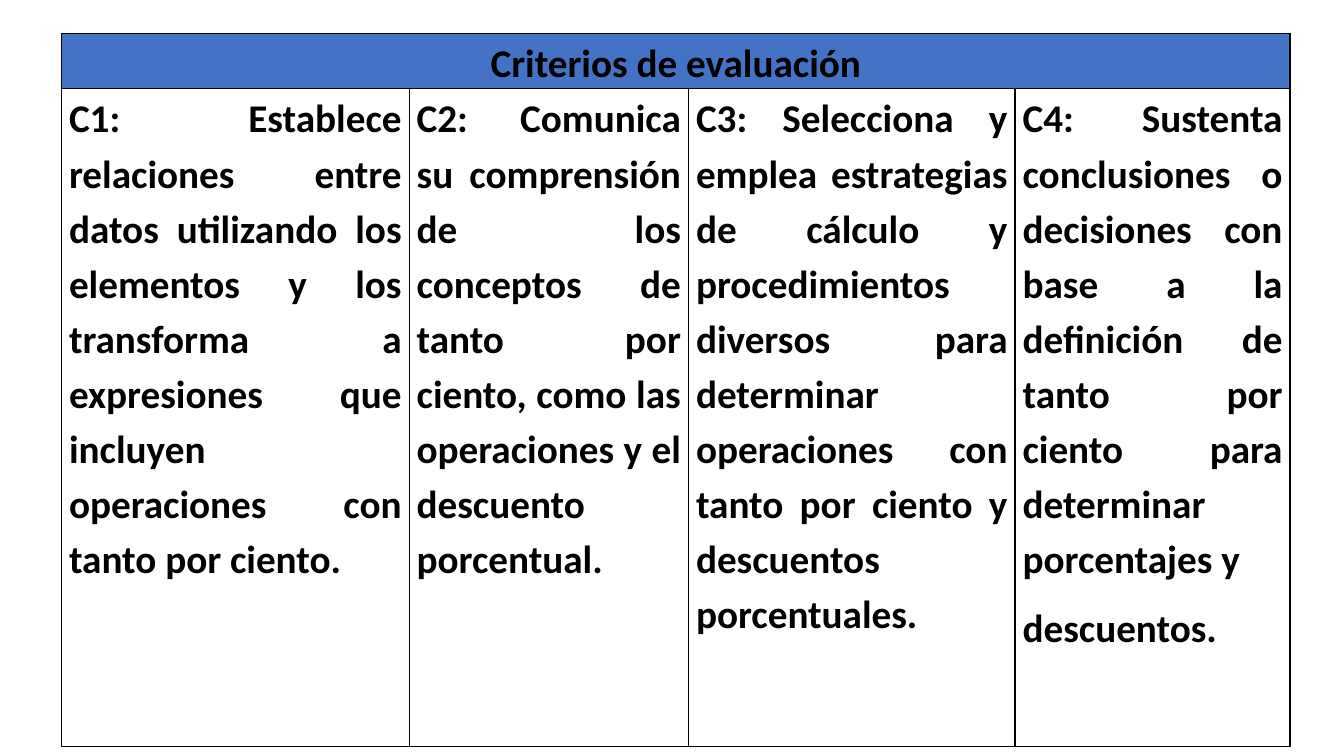
"""Build a slide with a table of assessment criteria."""
from dataclasses import dataclass

from lxml.etree import SubElement
from pptx import Presentation
from pptx.dml.color import RGBColor
from pptx.enum.text import MSO_ANCHOR, PP_ALIGN
from pptx.oxml.ns import qn
from pptx.table import _Cell
from pptx.util import Cm, Pt

HUES = {"ink": "000000", "head": "4472C4"}


@dataclass
class Column:
    """Hold the width in cm and the paragraphs of one criterion."""
    width: float
    lines: list[str]


COLS = [
    Column(8.76, ["C1: Establece relaciones entre datos utilizando los elementos y los "
                  "transforma a expresiones que incluyen operaciones con tanto por ciento."]),
    Column(7.04, ["C2: Comunica su comprensión de los conceptos de tanto por ciento, "
                  "como las operaciones y el descuento porcentual."]),
    Column(8.23, ["C3: Selecciona y emplea estrategias de cálculo y procedimientos "
                  "diversos para determinar operaciones con tanto por ciento y "
                  "descuentos porcentuales."]),
    Column(6.93, ["C4: Sustenta conclusiones o decisiones con base a la definición de "
                  "tanto por ciento para determinar porcentajes y", "descuentos."]),
]
ROWS = [1.35, 16.59]


def frame(cell: _Cell) -> None:
    """Give a cell thin borders, side margins and no fill."""
    props = cell._tc.get_or_add_tcPr()
    for side in ("lnL", "lnR", "lnT", "lnB"):
        line = SubElement(props, qn(f"a:{side}"), w=str(Pt(1)))
        fill = SubElement(line, qn("a:solidFill"))
        SubElement(fill, qn("a:srgbClr"), val=HUES["ink"])
    cell.margin_left = cell.margin_right = Cm(0.19)
    cell.margin_top = cell.margin_bottom = 0
    cell.fill.background()


def write(cell: _Cell, lines: list[str], align: PP_ALIGN) -> None:
    """Write bold paragraphs into a cell."""
    text = cell.text_frame
    for spot, line in enumerate(lines):
        para = text.add_paragraph() if spot else text.paragraphs[0]
        para.alignment = align
        para.line_spacing = 1.15
        para.space_after = Pt(10)
        run = para.add_run()
        run.text = line
        run.font.name = "Calibri"
        run.font.size = Pt(28)
        run.font.bold = True
        run.font.color.rgb = RGBColor.from_string(HUES["ink"])


def main() -> None:
    """Make the slide and save it."""
    deck = Presentation()
    deck.slide_width, deck.slide_height = Cm(33.87), Cm(19.05)
    slide = deck.slides.add_slide(deck.slide_layouts[6])
    wide = sum(col.width for col in COLS)
    table = slide.shapes.add_table(len(ROWS), len(COLS), Cm(1.55), Cm(0.84),
                                   Cm(wide), Cm(sum(ROWS))).table
    table.first_row = table.horz_banding = False
    for row, height in zip(table.rows, ROWS):
        row.height = Cm(height)
    for cell in table.iter_cells():
        frame(cell)

    head = table.cell(0, 0)
    head.merge(table.cell(0, len(COLS) - 1))
    head.fill.solid()
    head.fill.fore_color.rgb = RGBColor.from_string(HUES["head"])
    head.vertical_anchor = MSO_ANCHOR.MIDDLE
    write(head, ["Criterios de evaluación"], PP_ALIGN.CENTER)

    for spot, col in enumerate(COLS):
        table.columns[spot].width = Cm(col.width)
        write(table.cell(1, spot), col.lines, PP_ALIGN.JUSTIFY)
    deck.save("out.pptx")


if __name__ == "__main__":
    main()
